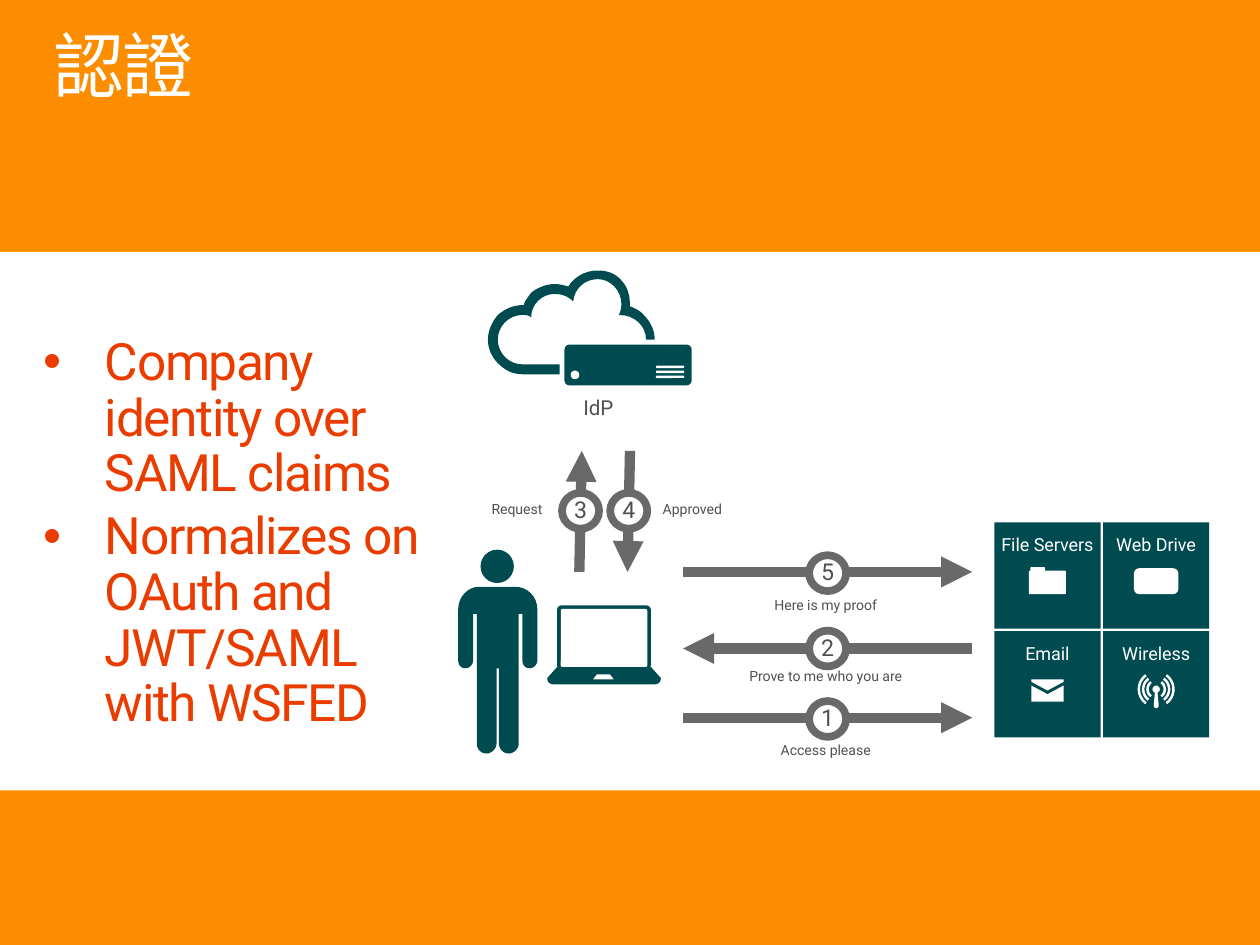
from math import cos, radians, sin

from lxml import etree
from pptx import Presentation
from pptx.dml.color import RGBColor
from pptx.enum.shapes import MSO_CONNECTOR, MSO_SHAPE
from pptx.enum.text import MSO_ANCHOR, PP_ALIGN
from pptx.oxml.ns import qn
from pptx.util import Inches, Pt

RECT, ROUND, OVAL = MSO_SHAPE.RECTANGLE, MSO_SHAPE.ROUNDED_RECTANGLE, MSO_SHAPE.OVAL
STRAIGHT = MSO_CONNECTOR.STRAIGHT
LEFT, CENTER = PP_ALIGN.LEFT, PP_ALIGN.CENTER
TOP, MIDDLE = MSO_ANCHOR.TOP, MSO_ANCHOR.MIDDLE

# The slide is a grid of 1020 columns by 765 rows
CELL = Inches(0.01)
COLS, ROWS = 1020, 765
FONT = "Roboto"
HEX = {"orange": "FC8D00", "white": "FFFFFF", "teal": "004B50",
       "gray": "696969", "text": "505050", "red": "EB3C00"}

# Outlines: "/" parts contours, "," parts points; six numbers make a curve
BODY = ("417 475,388 475,379 475 371 483 371 493,371 535,371 538 373 541 377 541,"
        "380 541 383 538 383 535,383 497,386 497,386 602,386 606 389 610 394 610,"
        "398 610 402 606 402 602,402 541,404 541,404 602,404 606 407 610 412 610,"
        "416 610 420 606 420 602,420 497,423 497,423 535,423 538 425 541 429 541,"
        "432 541 435 538 435 535,435 493,435 483 427 475 417 475")
BASE = ("451 540,527 540,535 549,535 552 533 554 530 554,448 554,"
        "445 554 443 552 443 549/483 546,494 546,497 550,480 550")
CLOUD = ("522 256,519 252 515 250 510 248,510 239 508 232 503 227,498 221 491 219 484 219,"
         "474 219 465 224 460 232,457 231 453 230 449 230,442 230 435 233 430 237,"
         "428 240 425 243 424 247,415 247 409 250 403 255,398 261 395 268 395 275,"
         "395 282 398 289 403 294,409 300 415 303 423 303,503 303,510 303 517 300 522 294,"
         "527 289 530 282 530 275,530 268 527 261 522 256"
         "/503 295,423 295,412 295 403 286 403 275,403 264 412 255 423 255,"
         "425 255 428 255 430 257,430 246 439 238 449 238,455 238 460 240 464 244,"
         "465 234 473 226 484 226,494 226 503 235 503 246,503 250 502 253 501 255,"
         "514 255 523 264 523 275,523 286 514 295 503 295")
MAIL = "861 555,861 568,835 568,835 555,848 562/835 550,861 550,861 552,848 559,835 552"
MAST = "935 560,937 560,938 571,938 574 934 574 934 571"


def paint(shape, fill, line=None):
    shape.shadow.inherit = False
    shape.fill.solid()
    shape.fill.fore_color.rgb = RGBColor.from_string(HEX[fill])
    if line:
        shape.line.color.rgb = RGBColor.from_string(HEX[line])
        shape.line.width = Pt(4.5)
    else:
        shape.line.fill.background()


def block(slide, kind, box, fill, line=None, curve=None):
    shape = slide.shapes.add_shape(kind, *(n * CELL for n in box))
    if curve is not None:
        shape.adjustments[0] = curve
    paint(shape, fill, line)
    return shape


def write(shape, lines, size, color, align=CENTER, anchor=TOP, inset=(0, 0),
          after=0, tight=0, bullet=False):
    frame = shape.text_frame
    frame.word_wrap = True
    frame.vertical_anchor = anchor
    frame.margin_left = frame.margin_right = inset[0] * CELL
    frame.margin_top, frame.margin_bottom = inset[1] * CELL, 0
    frame.text = "\n".join(lines)
    for para in frame.paragraphs:
        para.alignment, para.line_spacing, para.space_after = align, 0.9, Pt(after)
        if bullet:
            props = para._p.get_or_add_pPr()
            props.set("marL", str(50 * CELL))
            props.set("indent", str(-50 * CELL))
            etree.SubElement(props, qn("a:buFont")).set("typeface", "Arial")
            etree.SubElement(props, qn("a:buChar")).set("char", "•")
        for run in para.runs:
            run.font.name, run.font.size = FONT, Pt(size)
            run.font.color.rgb = RGBColor.from_string(HEX[color])
            if tight:
                run._r.get_or_add_rPr().set("spc", str(tight))


def label(slide, box, lines, size, color, **style):
    write(slide.shapes.add_textbox(*(n * CELL for n in box)), lines, size, color, **style)


def outline(slide, loops, fill):
    loops = [[(x * CELL, y * CELL) for x, y in loop] for loop in loops]
    maker = slide.shapes.build_freeform(*loops[0][0], scale=1.0)
    for i, loop in enumerate(loops):
        if i:
            maker.move_to(*loop[0])
        maker.add_line_segments(loop[1:], close=True)
    paint(maker.convert_to_shape(), fill)


def trace(text, steps=8):
    loops = []
    for part in text.split("/"):
        loop = []
        for point in part.split(","):
            nums = [int(n) for n in point.split()]
            if len(nums) == 2:
                loop.append(tuple(nums))
                continue
            ends = [loop[-1], nums[:2], nums[2:4], nums[4:]]
            for i in range(1, steps + 1):
                t = i / steps
                mix = ((1 - t) ** 3, 3 * t * (1 - t) ** 2, 3 * t * t * (1 - t), t ** 3)
                loop.append(tuple(sum(m * p[k] for m, p in zip(mix, ends)) for k in (0, 1)))
        loops.append(loop)
    return loops


def wave(x, y, inner, outer, mid):
    turns = [radians(mid + a) for a in range(-54, 55, 9)]
    return ([(x + outer * cos(a), y + outer * sin(a)) for a in turns]
            + [(x + inner * cos(a), y + inner * sin(a)) for a in reversed(turns)])


def arrow(slide, start, end):
    link = slide.shapes.add_connector(STRAIGHT, *(n * CELL for n in start + end))
    link.line.color.rgb = RGBColor.from_string(HEX["gray"])
    link.line.width = Pt(6)
    etree.SubElement(link.line._get_or_add_ln(), qn("a:tailEnd")).set("type", "triangle")
    etree.SubElement(link._element.spPr, qn("a:effectLst"))


def step(slide, num, start, end, spot, note, box):
    arrow(slide, start, end)
    badge = block(slide, OVAL, (spot[0] - 15, spot[1] - 14.5, 30, 29), "white", "gray")
    write(badge, [num], 13.5, "text", anchor=MIDDLE)
    label(slide, box, [note], 8.2, "text")


def user(slide):
    outline(slide, trace(BODY), "teal")
    block(slide, OVAL, (389, 445, 27, 27), "teal")
    # Laptop
    block(slide, ROUND, (451, 490, 76, 52), "teal", curve=0.07)
    block(slide, ROUND, (454, 493, 70, 47), "white", curve=0.03)
    outline(slide, trace(BASE), "teal")


def server(slide):
    outline(slide, trace(CLOUD), "teal")
    block(slide, ROUND, (453, 275, 112, 40), "white", curve=0.07)
    block(slide, ROUND, (457, 279, 103, 33), "teal", curve=0.12)
    block(slide, OVAL, (462, 300, 7, 7), "white")
    for row in range(3):
        block(slide, ROUND, (531, 296 + 4 * row, 23, 2), "white", curve=0.5)
    label(slide, (416, 322, 137, 18), ["IdP"], 12, "text")


def tiles(slide):
    for i, name in enumerate(["File Servers", "Web Drive", "Email", "Wireless"]):
        row, col = divmod(i, 2)
        tile = block(slide, RECT, (805 + 88 * col, 423 + 88 * row, 86, 86), "teal")
        write(tile, [name], 10.5, "white", inset=(0, 11))
    # Folder
    block(slide, ROUND, (834, 459, 12, 5), "white", curve=0.2)
    block(slide, ROUND, (833, 462, 30, 19), "white", curve=0.05)
    # Drive
    block(slide, ROUND, (918, 460, 36, 21), "white", curve=0.2)
    # Envelope and mast
    for icon in (MAIL, MAST):
        outline(slide, trace(icon), "white")
    # Radio waves
    block(slide, OVAL, (933, 555, 6, 6), "white")
    outline(slide, [wave(936, 558, far - 2, far, mid)
                    for far in (8, 11.5, 15) for mid in (0, 180)], "white")


def main():
    deck = Presentation()
    deck.slide_width, deck.slide_height = COLS * CELL, ROWS * CELL
    slide = deck.slides.add_slide(deck.slide_layouts[6])
    slide.background.fill.solid()
    slide.background.fill.fore_color.rgb = RGBColor.from_string(HEX["orange"])

    # Title, band and points
    label(slide, (43, 25, 933, 83), ["認證"], 41.3, "white", align=LEFT, tight=-80)
    block(slide, RECT, (0, 204, COLS, 436), "white")
    label(slide, (20, 260, 367, 349),
          ["Company identity over SAML claims", "Normalizes on OAuth and JWT/SAML with WSFED"],
          30, "red", align=LEFT, inset=(15, 12), after=4.5, tight=-80, bullet=True)

    # Actors
    user(slide)
    server(slide)
    tiles(slide)

    # Steps between user and resources
    near, far = 553, 787
    for num, note, y, mid, top, start, end in [
            ("1", "Access please", 581, 582, 602, near, far),
            ("2", "Prove to me who you are", 525, 525, 542, far, near),
            ("5", "Here is my proof", 463, 464, 484, near, far)]:
        step(slide, num, (start, y), (end, y), (670, mid), note, (590, top, 157, 12))

    # Steps between user and identity provider
    step(slide, "3", (469, 463), (471, 365), (470, 413.5), "Request", (384, 407, 69, 12))
    step(slide, "4", (510, 365), (508, 463), (509, 413.5), "Approved", (526, 407, 69, 12))

    deck.save("out.pptx")


if __name__ == "__main__":
    main()
